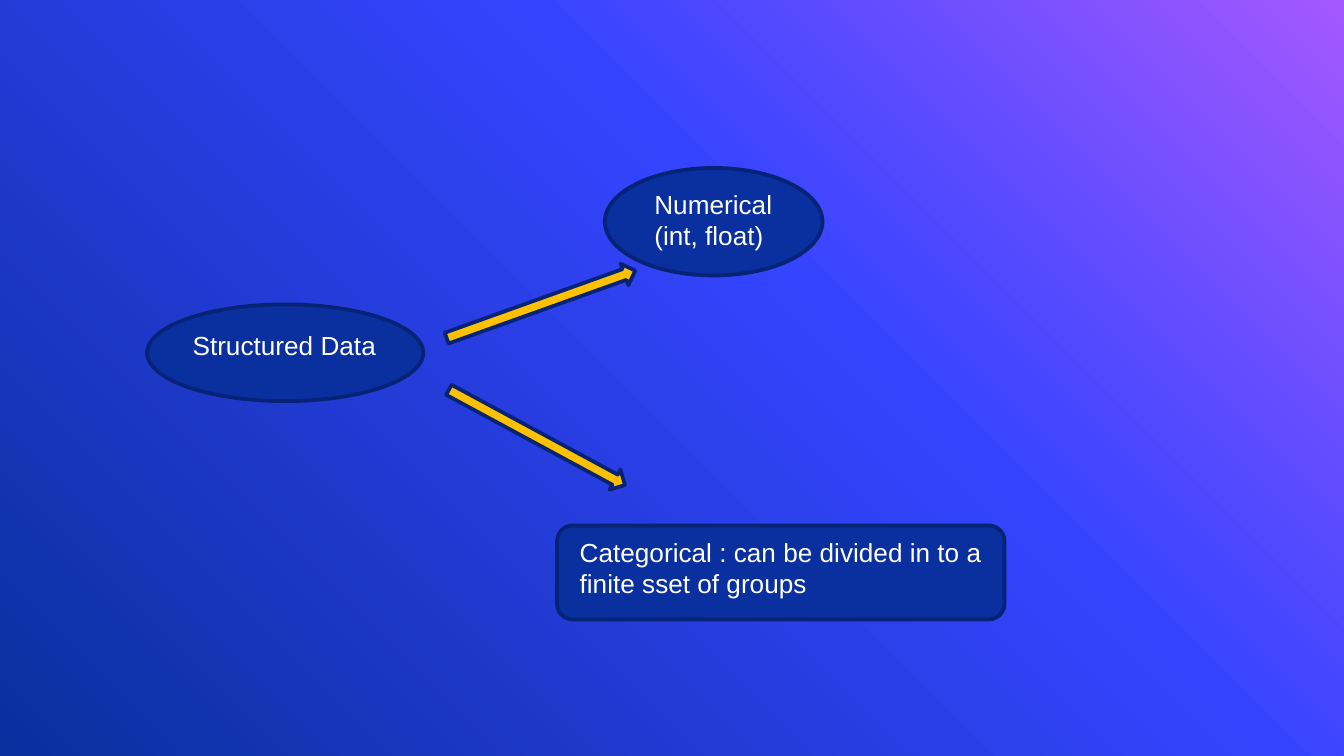
from copy import deepcopy

from pptx import Presentation
from pptx.dml.color import RGBColor
from pptx.enum.shapes import MSO_SHAPE
from pptx.enum.text import MSO_AUTO_SIZE
from pptx.oxml.ns import qn
from pptx.util import Pt

PX = 4572
ELLIPSE = MSO_SHAPE.OVAL
BOX = MSO_SHAPE.ROUNDED_RECTANGLE
ARROW = MSO_SHAPE.RIGHT_ARROW
FIT_SHAPE = MSO_AUTO_SIZE.SHAPE_TO_FIT_TEXT

COLORS = {
    "purple": "A458FF",
    "blue": "3544FF",
    "navy": "0A2F9E",
    "outline": "072375",
    "gold": "FFC000",
    "white": "FFFFFF",
}


def rgb(name):
    return RGBColor.from_string(COLORS[name])


def px(*lengths):
    return [n * PX for n in lengths]


def set_background(s):
    fill = s.background.fill
    fill.gradient()
    fill.gradient_angle = 225
    stop_list = s._element.find(".//" + qn("a:gsLst"))
    stop_list.append(deepcopy(stop_list[-1]))
    stops = [(0, "purple"), (0.39, "blue"), (1, "navy")]
    for stop, (position, color) in zip(fill.gradient_stops, stops):
        stop.position = position
        stop.color.rgb = rgb(color)


def add_outlined(s, kind, at, color, rotation=0):
    sp = s.shapes.add_shape(kind, *px(*at))
    sp.shadow.inherit = False
    sp.fill.solid()
    sp.fill.fore_color.rgb = rgb(color)
    sp.line.color.rgb = rgb("outline")
    sp.line.width = Pt(2)
    sp.rotation = rotation


def add_label(s, at, lines):
    tf = s.shapes.add_textbox(*px(*at)).text_frame
    tf.word_wrap = False
    tf.auto_size = FIT_SHAPE
    for i, line in enumerate(lines):
        p = tf.add_paragraph() if i else tf.paragraphs[0]
        r = p.add_run()
        r.text = line
        r.font.name = "Arial"
        r.font.size = Pt(14)
        r.font.color.rgb = rgb("white")


def main():
    prs = Presentation()
    prs.slide_width, prs.slide_height = px(2000, 1125)
    s = prs.slides.add_slide(prs.slide_layouts[6])
    set_background(s)

    nodes = [
        (BOX, (829, 782, 666, 140)),
        (ELLIPSE, (900, 250, 324, 160)),
        (ELLIPSE, (219, 453, 411, 144)),
    ]
    for kind, at in nodes:
        add_outlined(s, kind, at, "navy")

    labels = [
        ((267, 480, 314, 68), ["Structured Data"]),
        ((954, 270, 216, 114), ["Numerical", "(int, float)"]),
        ((843, 788, 652, 114),
         ["Categorical : can be divided in to a", "finite sset of groups"]),
    ]
    for at, lines in labels:
        add_label(s, at, lines)

    for left, top, rotation in [(656, 436, 340.3), (650, 634, 28.4)]:
        add_outlined(s, ARROW, (left, top, 298, 34), "gold", rotation)

    prs.save("out.pptx")


if __name__ == "__main__":
    main()
